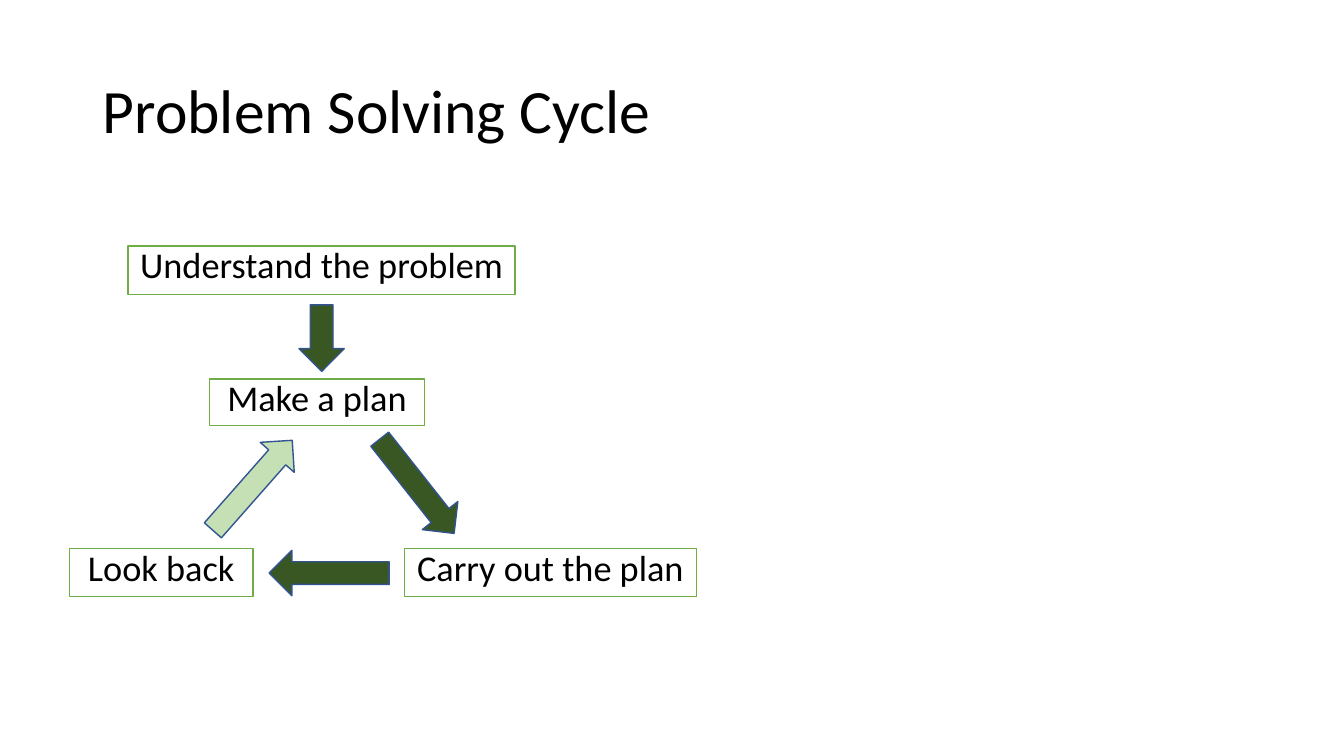
from dataclasses import dataclass

from pptx import Presentation
from pptx.dml.color import RGBColor
from pptx.enum.shapes import MSO_SHAPE
from pptx.enum.text import MSO_ANCHOR, MSO_AUTO_SIZE, PP_ALIGN
from pptx.util import Inches, Pt


@dataclass(frozen=True)
class Theme:
    font: str = "Calibri"
    ink: str = "000000"
    paper: str = "FFFFFF"
    edge: str = "70AD47"
    dark: str = "385723"
    pale: str = "C5E0B4"
    rim: str = "325491"
    title: float = 44
    step: float = 25.9


THEME = Theme()
WIDE, HIGH = Inches(13.33), Inches(7.5)

# All lengths are percent of the slide's width or height.
LOW = 72.53  # top of the bottom row
STEPS = [  # text, centre x, top, width, height
    ("Understand the problem", 23.93, 32.53, 28.8, 6.4),
    ("Make a plan", 23.59, 50.13, 15.98, 6.13),
    ("Carry out the plan", 40.96, LOW, 21.75, 6.4),
    ("Look back", 12, LOW, 13.65, 6.4),
]
LONG, SHORT, THICK = 8.93, 4.95, 6
ARROWS = [  # centre x, centre y, length, turn, fill
    (31.02, 64.33, LONG, 51.7, THEME.dark),
    (24.49, 75.8, LONG, 180, THEME.dark),
    (18.79, 64.2, LONG, 311.4, THEME.pale),
    (23.93, 44.73, SHORT, 90, THEME.dark),
]


def place(left, top, width, height):
    """Turn percent shares into slide lengths."""
    return (round(WIDE * left / 100), round(HIGH * top / 100),
            round(WIDE * width / 100), round(HIGH * height / 100))


def write(shape, text, size, align, anchor, line, before=0):
    frame = shape.text_frame
    frame.word_wrap = True
    frame.auto_size = MSO_AUTO_SIZE.NONE
    frame.vertical_anchor = anchor
    para = frame.paragraphs[0]
    para.alignment = align
    para.line_spacing = line
    para.space_before = Pt(before)
    run = para.add_run()
    run.text = text
    run.font.name = THEME.font
    run.font.size = Pt(size)
    run.font.color.rgb = RGBColor.from_string(THEME.ink)


def draw(slide, kind, spot, fill, line):
    shape = slide.shapes.add_shape(kind, *spot)
    shape.shadow.inherit = False
    shape.fill.solid()
    shape.fill.fore_color.rgb = RGBColor.from_string(fill)
    shape.line.color.rgb = RGBColor.from_string(line)
    shape.line.width = Pt(1)
    return shape


def head(slide, text):
    title = slide.shapes.title
    title.left, title.top, title.width, title.height = place(
        6.9, 5.33, 86.25, 19.33)
    write(title, text, size=THEME.title, align=PP_ALIGN.LEFT,
          anchor=MSO_ANCHOR.MIDDLE, line=0.9)


def step(slide, text, mid, top, width, height):
    spot = place(mid - width / 2, top, width, height)
    box = draw(slide, MSO_SHAPE.RECTANGLE, spot, THEME.paper, THEME.edge)
    write(box, text, size=THEME.step, align=PP_ALIGN.CENTER,
          anchor=MSO_ANCHOR.TOP, line=0.8, before=10)


def arrow(slide, x, y, length, turn, fill):
    spot = place(x - length / 2, y - THICK / 2, length, THICK)
    shape = draw(slide, MSO_SHAPE.RIGHT_ARROW, spot, fill, THEME.rim)
    shape.rotation = turn


def main():
    deck = Presentation()
    deck.slide_width, deck.slide_height = WIDE, HIGH
    slide = deck.slides.add_slide(deck.slide_layouts[5])  # title only
    head(slide, "Problem Solving Cycle")
    # Steps of the cycle
    for item in STEPS:
        step(slide, *item)
    # Arrows between the steps
    for item in ARROWS:
        arrow(slide, *item)
    deck.save("out.pptx")


if __name__ == "__main__":
    main()
